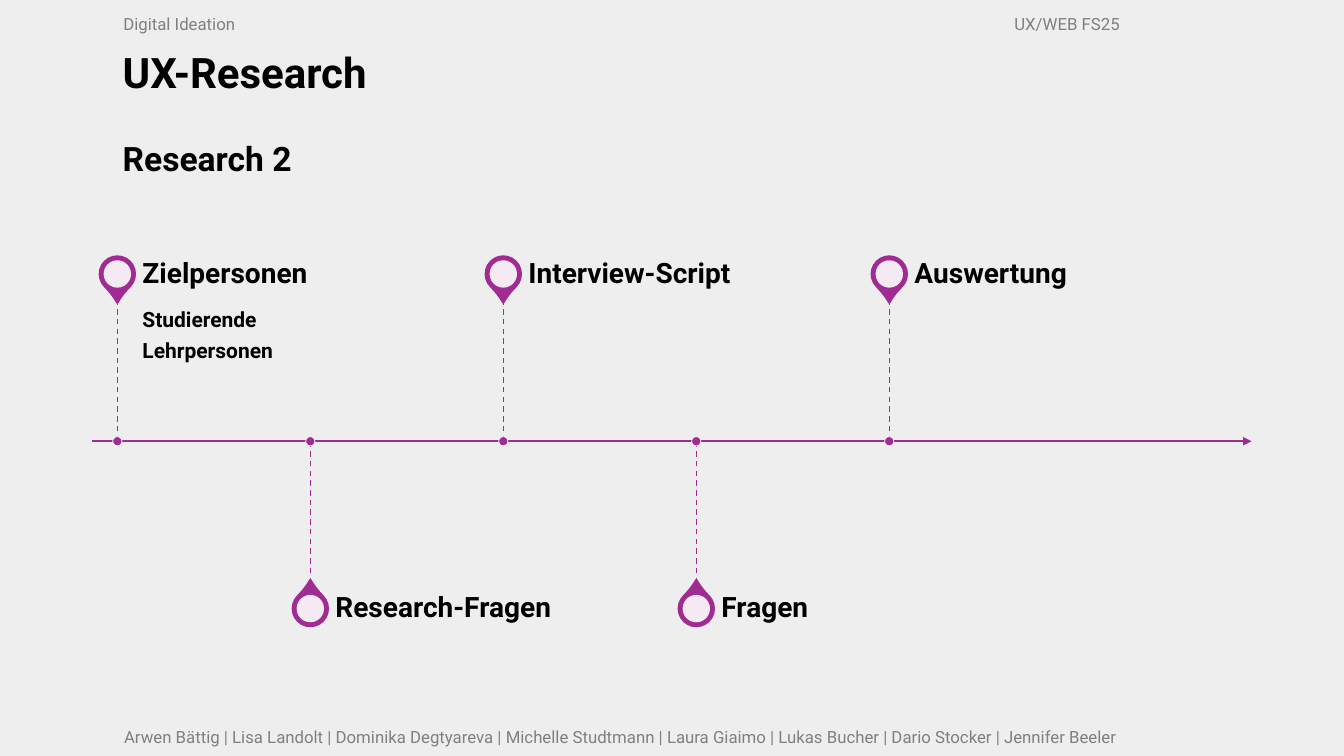
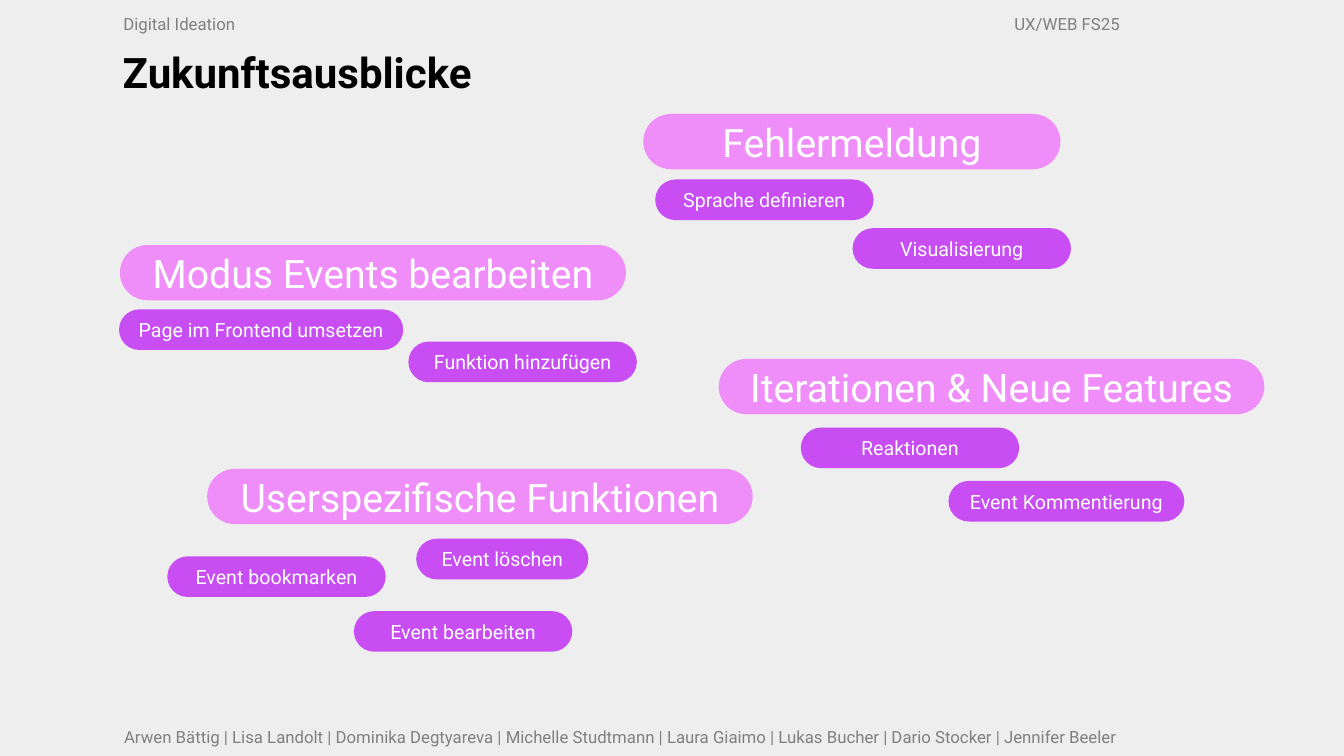
from lxml import etree
from pptx import Presentation
from pptx.dml.color import RGBColor
from pptx.enum.dml import MSO_LINE
from pptx.enum.shapes import MSO_CONNECTOR, MSO_SHAPE
from pptx.enum.text import MSO_ANCHOR, PP_ALIGN
from pptx.oxml.ns import qn
from pptx.util import Pt

LEFT, CENTER = PP_ALIGN.LEFT, PP_ALIGN.CENTER
TOP, MIDDLE = MSO_ANCHOR.TOP, MSO_ANCHOR.MIDDLE
STRAIGHT = MSO_CONNECTOR.STRAIGHT
OVAL, PIN, PILL = MSO_SHAPE.OVAL, MSO_SHAPE.TEAR, MSO_SHAPE.ROUNDED_RECTANGLE
DASH = MSO_LINE.DASH

FONT = "Roboto"
BACKGROUND, BLACK, GREY, WHITE = "EEEEEE", "000000", "808080", "FFFFFF"
PLUM, PINK, VIOLET = "A02B93", "EF8EF9", "C84EF3"
DEFAULT_INSETS = (7.2, 3.6, 7.2, 3.6)


def paint(fill, colour):
    fill.solid()
    fill.fore_color.rgb = RGBColor.from_string(colour)


def write(box, *lines, size, colour=BLACK, bold=False, align=LEFT, anchor=TOP,
          insets=DEFAULT_INSETS, spacing=1.0, gap=0):
    """Fill a box with one paragraph per line; gap separates the paragraphs."""
    frame = box.text_frame
    frame.word_wrap = True
    frame.vertical_anchor = anchor
    (frame.margin_left, frame.margin_top,
     frame.margin_right, frame.margin_bottom) = map(Pt, insets)
    for number, line in enumerate(lines):
        para = frame.add_paragraph() if number else frame.paragraphs[0]
        para.alignment = align
        para.line_spacing = spacing
        if number:
            para.space_before = Pt(gap)
        span = para.add_run()
        span.text = line
        span.font.name = FONT
        span.font.size = Pt(size)
        span.font.bold = bold
        paint(span.font.fill, colour)


deck = Presentation()
deck.slide_width, deck.slide_height = Pt(960), Pt(540)
paint(deck.slide_master.background.fill, BACKGROUND)

# Header, footer and title of every page
page_furniture = [
    ("Arwen Bättig | Lisa Landolt | Dominika Degtyareva | Michelle Studtmann | "
     "Laura Giaimo | Lukas Bucher | Dario Stocker | Jennifer Beeler",
     80, 515.5, 727),
    ("Digital Ideation", 75.6, 6.5, 105),
    ("UX/WEB FS25 ", 717, 6.5, 93.6),
]
pages = []
for title in ("UX-Research", "Zukunftsausblicke"):
    page = deck.slides.add_slide(deck.slide_layouts[6])
    for text, left, top, width in page_furniture:
        box = page.shapes.add_textbox(Pt(left), Pt(top), Pt(width), Pt(21.6))
        write(box, text, size=12, colour=GREY, align=CENTER)
    title_box = page.shapes.add_textbox(Pt(80.6), Pt(34), Pt(643), Pt(100))
    write(title_box, title, size=30, bold=True, spacing=0.9)
    pages.append(page)
timeline, outlook = pages

# Timeline: milestones alternate above and below the axis
subtitle = title_box = timeline.shapes[-1].text_frame.add_paragraph()
subtitle.line_spacing = 0.9
subtitle.space_before = Pt(31.6)
span = subtitle.add_run()
span.text = "Research 2"
span.font.name, span.font.size, span.font.bold = FONT, Pt(24), True
paint(span.font.fill, BLACK)

AXIS_Y, FIRST_X, STEP = 315.2, 83.8, 137.85
STEM, PIN_DISTANCE, LABEL_HEIGHT = 101.3, 119.5, 35.2
milestones = ["Zielpersonen", "Research-Fragen", "Interview-Script", "Fragen", "Auswertung"]
spots = [(name, FIRST_X + index * STEP, 1 if index % 2 else -1)
         for index, name in enumerate(milestones)]

lines = [(66, AXIS_Y, 894, AXIS_Y, 1.5, None)]
lines += [(x, AXIS_Y + side * STEM, x, AXIS_Y, 1, DASH) for _, x, side in spots]
for x1, y1, x2, y2, weight, dash in lines:
    connector = timeline.shapes.add_connector(STRAIGHT, Pt(x1), Pt(y1), Pt(x2), Pt(y2))
    paint(connector.line.fill, PLUM)
    connector.line.width = Pt(weight)
    if dash:
        connector.line.dash_style = dash
    else:
        outline = connector.element.spPr.find(qn("a:ln"))
        etree.SubElement(outline, qn("a:tailEnd"), type="triangle")
    etree.SubElement(connector.element.spPr, qn("a:effectLst"))

for name, x, side in spots:
    pin_y = AXIS_Y + side * PIN_DISTANCE
    marks = [
        (PIN, pin_y, 25.2, PLUM, PLUM, 1.5),
        (OVAL, pin_y, 19.6, WHITE, None, 0),
        (OVAL, AXIS_Y, 6.6, PLUM, WHITE, 0.5),
    ]
    for kind, y, size, fill, edge, weight in marks:
        mark = timeline.shapes.add_shape(
            kind, Pt(x - size / 2), Pt(y - size / 2), Pt(size), Pt(size))
        mark.shadow.inherit = False
        paint(mark.fill, fill)
        if edge:
            paint(mark.line.fill, edge)
            mark.line.width = Pt(weight)
        else:
            mark.line.fill.background()
        if kind == PIN:
            mark.adjustments[0] = 1.15
            mark.rotation = 315 if side > 0 else 135
        elif fill == WHITE:
            colour = mark.element.spPr.find(qn("a:solidFill"))[0]
            etree.SubElement(colour, qn("a:alpha"), val="90000")
    label = timeline.shapes.add_textbox(
        Pt(x + 18), Pt(pin_y - LABEL_HEIGHT / 2), Pt(230), Pt(LABEL_HEIGHT))
    write(label, name, size=20, bold=True, anchor=MIDDLE,
          insets=(0, 0, 10, 0), spacing=0.9)

audience = timeline.shapes.add_textbox(
    Pt(FIRST_X + 18), Pt(AXIS_Y - STEM), Pt(230), Pt(STEM))
write(audience, "Studierende", "Lehrpersonen", size=15, bold=True,
      insets=(0, 7.2, 7.2, 11.5), spacing=0.9, gap=5.6)

# Outlook: topics and their tasks as (text, left, top, width)
topics = [
    ("Modus Events bearbeiten", 85.7, 175, 361.4),
    ("Fehlermeldung", 459.5, 81.4, 298),
    ("Userspezifische Funktionen", 148, 334.9, 389.7),
    ("Iterationen & Neue Features", 513.4, 256.4, 389.7),
]
tasks = [
    ("Page im Frontend umsetzen", 85, 221, 203),
    ("Funktion hinzufügen", 291.7, 244, 163.2),
    ("Sprache definieren", 468, 128.2, 156),
    ("Visualisierung", 609, 163, 156),
    ("Event bookmarken", 119.5, 397.4, 156),
    ("Event löschen", 297.3, 384.8, 123),
    ("Event bearbeiten", 252.8, 436.5, 156),
    ("Reaktionen", 572, 305.4, 156),
    ("Event Kommentierung", 677.5, 343.5, 168.5),
]
for pills, height, size, colour in ((topics, 39.5, 28, PINK), (tasks, 29, 14, VIOLET)):
    for text, left, top, width in pills:
        pill = outlook.shapes.add_shape(PILL, Pt(left), Pt(top), Pt(width), Pt(height))
        pill.adjustments[0] = 0.5
        pill.shadow.inherit = False
        paint(pill.fill, colour)
        pill.line.fill.background()
        write(pill, text, size=size, colour=WHITE, align=CENTER, anchor=MIDDLE)

deck.save("out.pptx")
